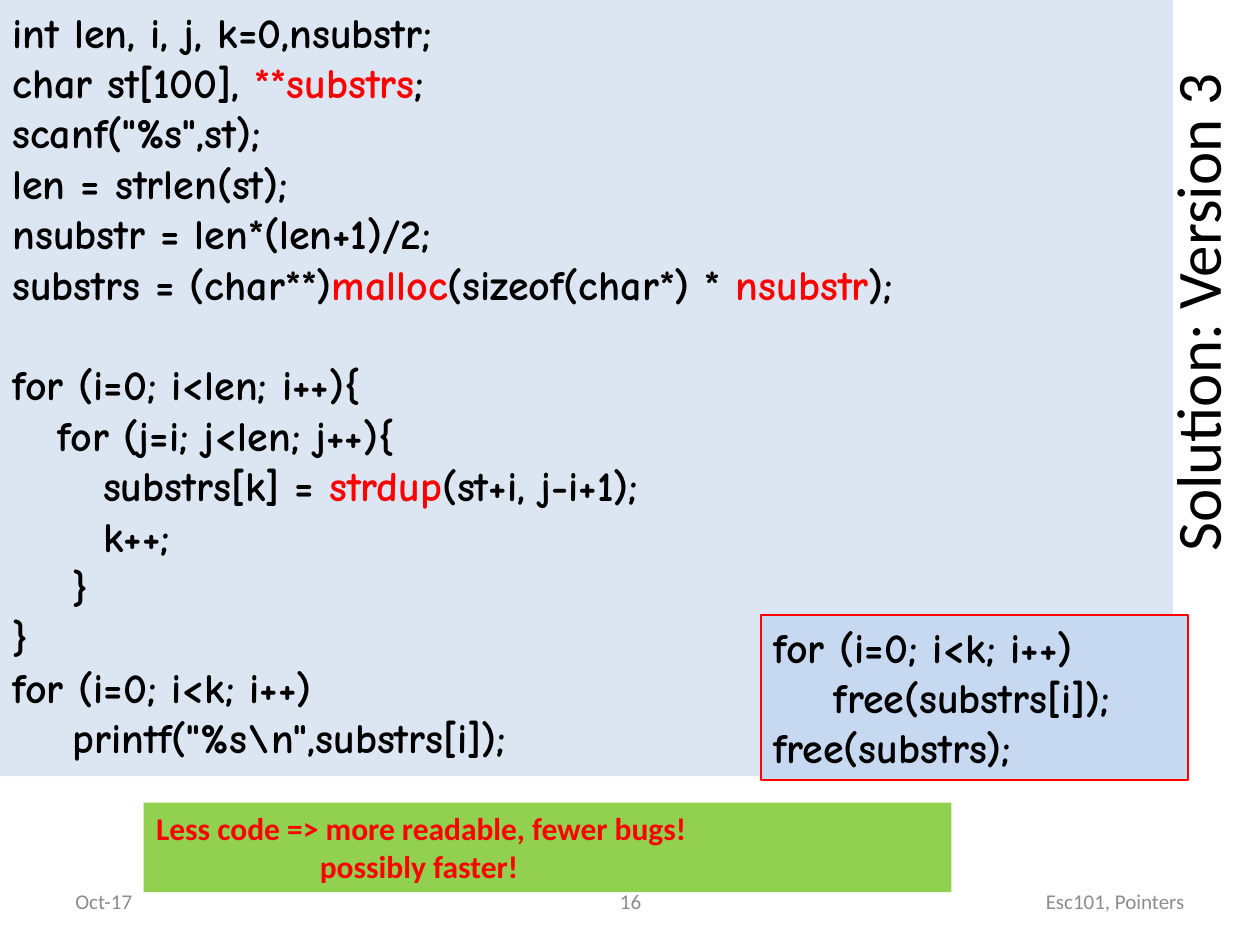
"""Build the "Solution: Version 3" slide on substrings with malloc and strdup."""
from dataclasses import dataclass

import pptx
import pptx.dml.color
import pptx.enum.shapes
import pptx.enum.text
import pptx.util

Inches = pptx.util.Inches
Pt = pptx.util.Pt
ALIGN = pptx.enum.text.PP_ALIGN
ANCHOR = pptx.enum.text.MSO_ANCHOR
BLACK, RED, GREY = "000000", "FF0000", "8C8C8C"
CODE_FONT, TEXT_FONT = "Comic Neue", "Calibri"
SPACE_WIDTH = 0.12
MARK = "|"


@dataclass(frozen=True)
class Line:
    text: str
    indent: float = 0
    space_before: float = 0


@dataclass(frozen=True)
class Panel:
    left: float
    top: float
    width: float
    height: float
    fill: str
    lines: tuple[Line, ...]
    size: float = 24
    font: str = CODE_FONT
    color: str = BLACK
    border: str | None = None


@dataclass(frozen=True)
class Label:
    text: str
    left: float
    top: float
    width: float
    height: float
    align: ALIGN
    size: float = 12
    color: str = GREY
    rotation: float = 0


def code(text: str, spaces: int = 0, space_before: float = 0) -> Line:
    """Return a code line indented by a number of spaces."""
    return Line(text, spaces * SPACE_WIDTH, space_before)


def rgb(color: str) -> pptx.dml.color.RGBColor:
    """Turn a hex string into a colour."""
    return pptx.dml.color.RGBColor.from_string(color)


def style_run(run, font: str, size: float, color: str, bold: bool) -> None:
    """Set the font of one run."""
    run.font.name = font
    run.font.size = Pt(size)
    run.font.bold = bold
    run.font.color.rgb = rgb(color)


def write_line(paragraph, line: Line, panel: Panel) -> None:
    """Write a line whose marked parts are red."""
    properties = paragraph._p.get_or_add_pPr()
    properties.set("marL", str(Inches(line.indent)))
    properties.set("indent", "0")
    paragraph.alignment = ALIGN.LEFT
    paragraph.space_before = Pt(line.space_before)
    for position, part in enumerate(line.text.split(MARK)):
        run = paragraph.add_run()
        run.text = part
        color = RED if position % 2 else panel.color
        style_run(run, panel.font, panel.size, color, True)


def draw_panel(slide, panel: Panel) -> None:
    """Draw a filled rectangle holding lines of text."""
    box = slide.shapes.add_shape(
        pptx.enum.shapes.MSO_SHAPE.RECTANGLE,
        Inches(panel.left), Inches(panel.top),
        Inches(panel.width), Inches(panel.height),
    )
    box.shadow.inherit = False
    box.fill.solid()
    box.fill.fore_color.rgb = rgb(panel.fill)
    if panel.border:
        box.line.color.rgb = rgb(panel.border)
        box.line.width = Pt(1.5)
    else:
        box.line.fill.background()
    frame = box.text_frame
    frame.word_wrap = True
    frame.vertical_anchor = ANCHOR.TOP
    for position, line in enumerate(panel.lines):
        paragraph = frame.add_paragraph() if position else frame.paragraphs[0]
        write_line(paragraph, line, panel)


def draw_label(slide, label: Label) -> None:
    """Draw a single line of plain text."""
    box = slide.shapes.add_textbox(
        Inches(label.left), Inches(label.top),
        Inches(label.width), Inches(label.height),
    )
    box.rotation = label.rotation
    frame = box.text_frame
    frame.word_wrap = True
    frame.vertical_anchor = ANCHOR.MIDDLE
    frame.text = label.text
    paragraph = frame.paragraphs[0]
    paragraph.alignment = label.align
    style_run(paragraph.runs[0], TEXT_FONT, label.size, label.color, False)


LABELS = (
    Label("Solution: Version 3", 7.04, 1.97, 4.9, 1.02, ALIGN.CENTER, 36, BLACK, 270),
    Label("Oct-17", 0.5, 6.95, 2.33, 0.4, ALIGN.LEFT),
    Label("16", 3.42, 6.95, 3.17, 0.4, ALIGN.CENTER),
    Label("Esc101, Pointers", 7.17, 6.95, 2.33, 0.4, ALIGN.RIGHT),
)

PANELS = (
    Panel(0, 0, 9.31, 6.16, "DCE6F2", (
        code("int len, i, j, k=0,nsubstr;"),
        code("char st[100], |**substrs|;"),
        code('scanf("%s",st);'),
        code("len = strlen(st);"),
        code("nsubstr = len*(len+1)/2;"),
        code("substrs = (char**)|malloc|(sizeof(char*) * |nsubstr|);"),
        code("for (i=0; i<len; i++){", space_before=28.8),
        code("for (j=i; j<len; j++){", 3),
        code("substrs[k] = |strdup|(st+i, j-i+1);", 6),
        code("k++;", 6),
        code("}", 4),
        code("}"),
        code("for (i=0; i<k; i++)"),
        code('printf("%s\\n",substrs[i]);', 4),
    )),
    Panel(1.14, 6.37, 6.41, 0.71, "92D050", (
        Line("Less code => more readable, fewer bugs!"),
        Line("possibly faster!", 1.3),
    ), 18, TEXT_FONT, RED),
    Panel(6.04, 4.88, 3.39, 1.31, "C6D9F1", (
        code("for (i=0; i<k; i++)"),
        code("free(substrs[i]);", 4),
        code("free(substrs);"),
    ), border=RED),
)


def main() -> None:
    """Build and save the slide."""
    presentation = pptx.Presentation()
    presentation.slide_width = Inches(10)
    presentation.slide_height = Inches(7.5)
    slide = presentation.slides.add_slide(presentation.slide_layouts[6])
    for label in LABELS:
        draw_label(slide, label)
    for panel in PANELS:
        draw_panel(slide, panel)
    presentation.save("out.pptx")


if __name__ == "__main__":
    main()
